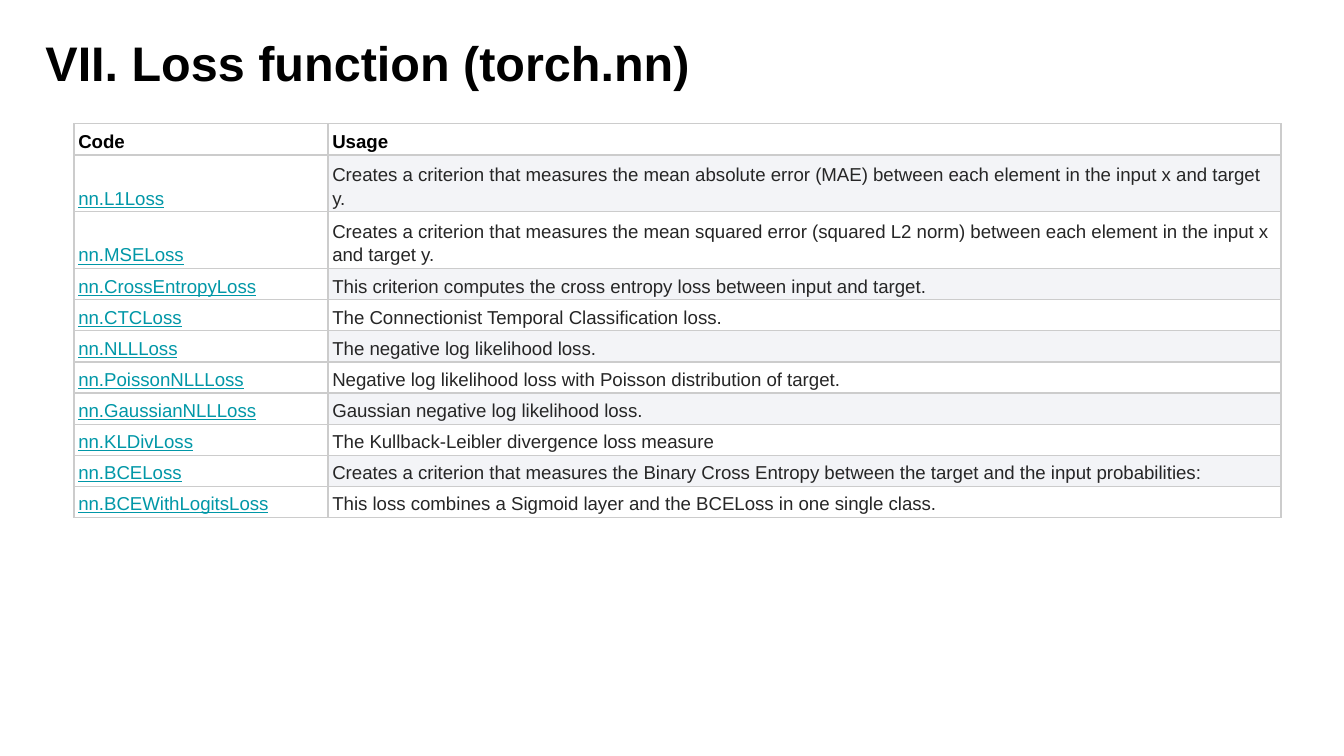
"""Build a slide that lists the loss functions of torch.nn."""
from lxml.etree import SubElement
from pptx import Presentation
from pptx.dml.color import RGBColor
from pptx.enum.text import MSO_ANCHOR, MSO_AUTO_SIZE
from pptx.oxml.ns import qn
from pptx.util import Cm, Pt

BLACK = RGBColor(0x00, 0x00, 0x00)
WHITE = RGBColor(0xFF, 0xFF, 0xFF)
BODY_GRAY = RGBColor(0x26, 0x26, 0x26)
LINK_TEAL = RGBColor(0x00, 0x97, 0xA7)
BAND_GRAY = RGBColor(0xF3, 0xF4, 0xF7)
BORDER_GRAY = RGBColor(0xCC, 0xCC, 0xCC)

TITLE_FONT = {"name": "Arial", "size": Pt(26), "bold": True}
HEADER_FONT = {"name": "Arial", "size": Pt(10), "bold": True}
CODE_FONT = {"name": "Arial", "size": Pt(10), "bold": False, "underline": True}
USAGE_FONT = {"name": "Arial", "size": Pt(10), "bold": False}
CELL_FORMAT = {
    "vertical_anchor": MSO_ANCHOR.BOTTOM,
    "margin_left": Cm(0.08),
    "margin_right": Cm(0.08),
    "margin_top": Cm(0.05),
    "margin_bottom": Cm(0.05),
}
TITLE_FRAME = {
    "word_wrap": True,
    "auto_size": MSO_AUTO_SIZE.SHAPE_TO_FIT_TEXT,
    "margin_left": Cm(0.25),
    "margin_right": Cm(0.25),
    "margin_top": Cm(0.25),
    "margin_bottom": Cm(0.25),
}
COLUMN_WIDTHS = (Cm(4.8), Cm(18.01))
ROW_HEIGHT = Cm(0.56)

HEADERS = ("Code", "Usage")
LOSSES = (
    ("nn.L1Loss", "Creates a criterion that measures the mean absolute error (MAE) "
     "between each element in the input x and target y."),
    ("nn.MSELoss", "Creates a criterion that measures the mean squared error "
     "(squared L2 norm) between each element in the input x and target y."),
    ("nn.CrossEntropyLoss",
     "This criterion computes the cross entropy loss between input and target."),
    ("nn.CTCLoss", "The Connectionist Temporal Classification loss."),
    ("nn.NLLLoss", "The negative log likelihood loss."),
    ("nn.PoissonNLLLoss",
     "Negative log likelihood loss with Poisson distribution of target."),
    ("nn.GaussianNLLLoss", "Gaussian negative log likelihood loss."),
    ("nn.KLDivLoss", "The Kullback-Leibler divergence loss measure"),
    ("nn.BCELoss", "Creates a criterion that measures the Binary Cross Entropy "
     "between the target and the input probabilities:"),
    ("nn.BCEWithLogitsLoss",
     "This loss combines a Sigmoid layer and the BCELoss in one single class."),
)


def apply_format(target, values):
    """Set each named attribute on the target."""
    for name, value in values.items():
        setattr(target, name, value)


def write_text(paragraph, text, font_format, color):
    """Add one formatted run to a paragraph."""
    run = paragraph.add_run()
    run.text = text
    apply_format(run.font, font_format)
    run.font.color.rgb = color


def add_title(slide, text):
    """Add the slide title as a text box."""
    shape = slide.shapes.add_textbox(Cm(0.61), Cm(0.38), Cm(24.08), Cm(1.63))
    apply_format(shape.text_frame, TITLE_FRAME)
    write_text(shape.text_frame.paragraphs[0], text, TITLE_FONT, BLACK)


def add_borders(cell):
    """Draw a thin gray line on all four sides of a cell."""
    properties = cell._tc.get_or_add_tcPr()
    for position, side in enumerate(("a:lnL", "a:lnR", "a:lnT", "a:lnB")):
        line = SubElement(properties, qn(side), w=str(Pt(0.75)))
        fill = SubElement(line, qn("a:solidFill"))
        SubElement(fill, qn("a:srgbClr"), val=str(BORDER_GRAY))
        properties.insert(position, line)


def fill_cell(cell, text, font_format, color, background=None):
    """Write and format one table cell."""
    apply_format(cell, CELL_FORMAT)
    paragraph = cell.text_frame.paragraphs[0]
    paragraph.line_spacing = 1.15
    write_text(paragraph, text, font_format, color)
    if background is None:
        cell.fill.background()
    else:
        cell.fill.solid()
        cell.fill.fore_color.rgb = background
    add_borders(cell)


def add_loss_table(slide):
    """Add the table of loss functions with banded usage cells."""
    row_count = len(LOSSES) + 1
    table = slide.shapes.add_table(
        row_count, len(HEADERS), Cm(1.4), Cm(2.34),
        sum(COLUMN_WIDTHS), ROW_HEIGHT * row_count).table
    apply_format(table, {"first_row": False, "horz_banding": False})
    for column, width in zip(table.columns, COLUMN_WIDTHS):
        column.width = width
    for row in table.rows:
        row.height = ROW_HEIGHT
    for column_index, header in enumerate(HEADERS):
        fill_cell(table.cell(0, column_index), header, HEADER_FONT, BLACK)
    for row_index, (code, usage) in enumerate(LOSSES, start=1):
        band = BAND_GRAY if row_index % 2 else WHITE
        fill_cell(table.cell(row_index, 0), code, CODE_FONT, LINK_TEAL, WHITE)
        fill_cell(table.cell(row_index, 1), usage, USAGE_FONT, BODY_GRAY, band)


def main():
    """Create the presentation and save it."""
    presentation = Presentation()
    apply_format(presentation, {"slide_width": Cm(25.4), "slide_height": Cm(14.29)})
    slide = presentation.slides.add_slide(presentation.slide_layouts[6])
    add_title(slide, "VII. Loss function (torch.nn)")
    add_loss_table(slide)
    presentation.save("out.pptx")


if __name__ == "__main__":
    main()
